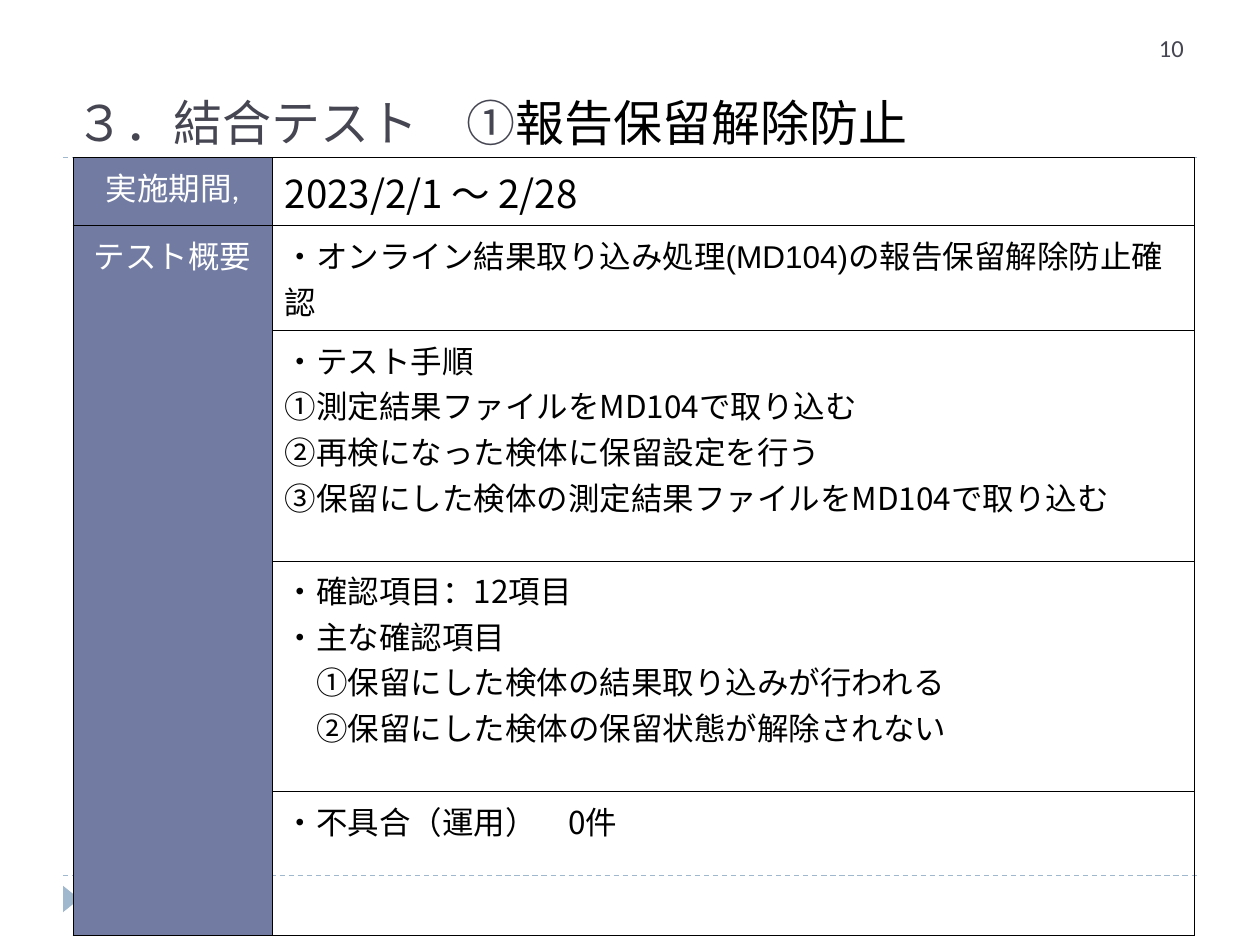
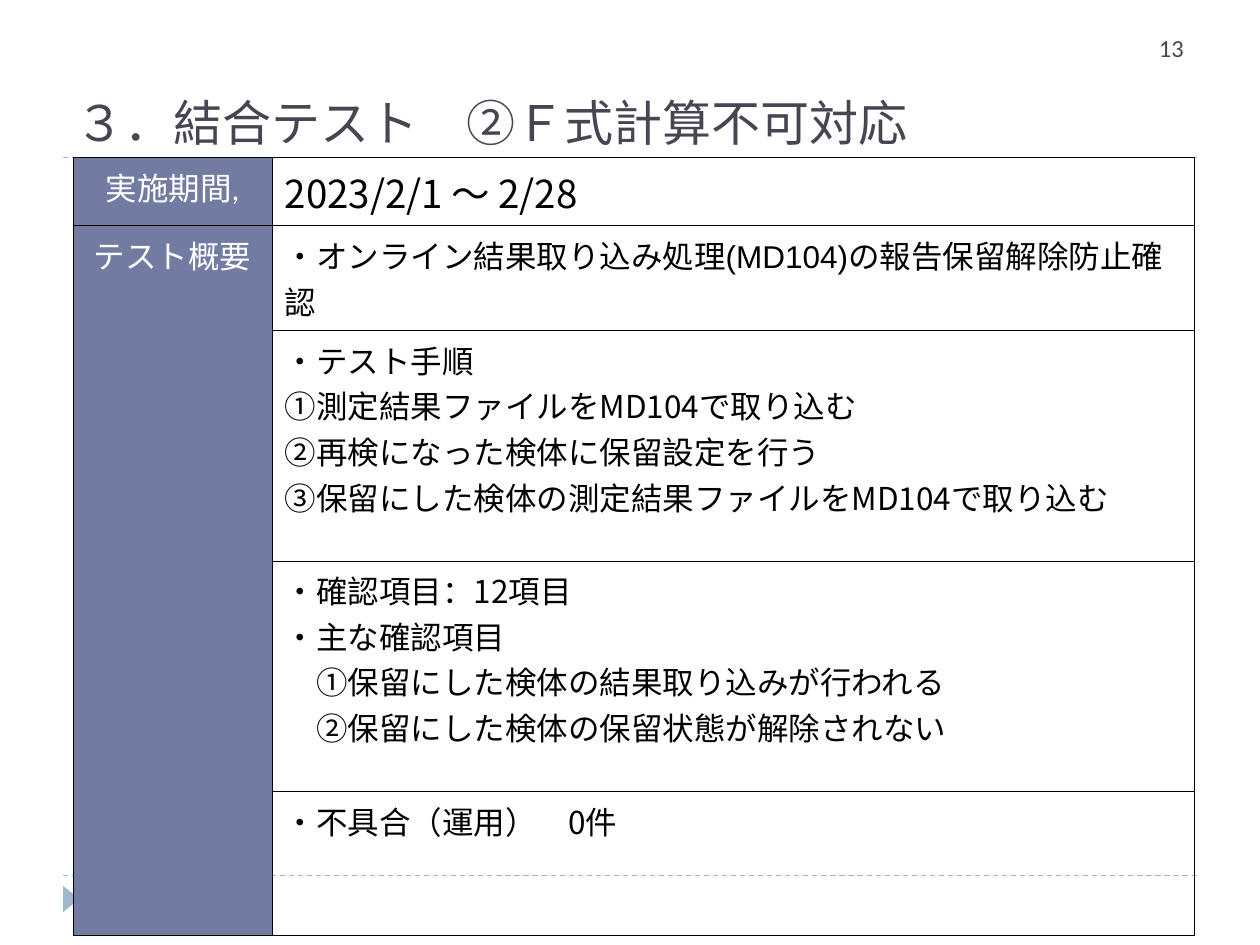
import pptx
import pptx.util
import pptx.dml.color
import pptx.enum.dml
import pptx.enum.shapes
import pptx.enum.text
import pptx.oxml
import pptx.oxml.ns
from lxml import etree

Inches, Pt = pptx.util.Inches, pptx.util.Pt
RGBColor = pptx.dml.color.RGBColor
Align = pptx.enum.text.PP_ALIGN
qn = pptx.oxml.ns.qn

# Content: (page, title start, title end, colour of the end)
INK = RGBColor(0x46, 0x46, 0x53)
BLACK = RGBColor(0, 0, 0)
WHITE = RGBColor(255, 255, 255)
HEAD = RGBColor(0x72, 0x7C, 0xA3)
RULE = RGBColor(0x9F, 0xB8, 0xCD)
CJK, SANS, BODY = "Noto Sans CJK JP", "Arial", "Calibri"

PAGES = [
    ("10", "３．結合テスト　①", "報告保留解除防止", BLACK),
    ("13", "３．結合テスト　②", "Ｆ式計算不可対応", INK),
]
LABELS = ["実施期間,", "テスト概要"]
# Each row: height, text size, paragraphs made of (text, font) runs
ROWS = [
    (0.54, 22, [[("2023/2/1 ～ 2/28", CJK)]]),
    (0.83, 18, [[("・", BODY),
                 ("オンライン結果取り込み処理(MD104)の報告保留解除防止確認", SANS)]]),
    (1.83, 18, [[("・テスト手順", CJK)],
                [("①測定結果ファイルをMD104で取り込む", CJK)],
                [("②再検になった検体に保留設定を行う", CJK)],
                [("③保留にした検体の測定結果ファイルをMD104で取り込む", CJK)]]),
    (1.83, 18, [[("・確認項目：12項目", CJK)],
                [("・主な確認項目　", CJK)],
                [("　①保留にした検体の結果取り込みが行われる", CJK)],
                [("　②保留にした検体の保留状態が解除されない", CJK)]]),
    (1.14, 18, [[("・不具合（運用）　0件", CJK)]]),
]
COLS = [1.58, 7.32]
LEFT, TOP = 0.58, 1.25


def add_run(para, text, font, size, color):
    run = para.add_run()
    run.text = text
    run.font.name = font
    run.font.size = Pt(size)
    run.font.color.rgb = color
    east = etree.SubElement(run.font._element, qn("a:ea"))
    east.set("typeface", CJK)


def add_rule(slide, y):
    line = slide.shapes.add_connector(
        pptx.enum.shapes.MSO_CONNECTOR.STRAIGHT,
        Inches(0.5), Inches(y), Inches(9.5), Inches(y))
    line.line.color.rgb = RULE
    line.line.width = Pt(0.75)
    line.line.dash_style = pptx.enum.dml.MSO_LINE.DASH
    etree.SubElement(line._element.spPr, qn("a:effectLst"))


def add_frame(slide):
    for y in (6.95, TOP):
        add_rule(slide, y)
    mark = slide.shapes.add_shape(
        pptx.enum.shapes.MSO_SHAPE.ISOSCELES_TRIANGLE,
        Inches(0.46), Inches(7.07), Inches(0.21), Inches(0.13))
    mark.rotation = 90
    mark.shadow.inherit = False
    mark.fill.solid()
    mark.fill.fore_color.rgb = RULE
    mark.line.fill.background()


def add_edges(cell):
    props = cell._tc.get_or_add_tcPr()
    for i, side in enumerate(("lnL", "lnR", "lnT", "lnB")):
        edge = etree.Element(qn("a:" + side), w=str(Pt(0.45)))
        fill = etree.SubElement(edge, qn("a:solidFill"))
        etree.SubElement(fill, qn("a:srgbClr"), val=str(BLACK))
        props.insert(i, edge)


def add_grid(slide):
    height = sum(row[0] for row in ROWS)
    table = slide.shapes.add_table(
        len(ROWS), len(COLS), Inches(LEFT), Inches(TOP),
        Inches(sum(COLS)), Inches(height)).table
    table.first_row = table.horz_banding = False
    for col, width in zip(table.columns, COLS):
        col.width = Inches(width)

    # Right column and borders
    for r, (high, size, paras) in enumerate(ROWS):
        table.rows[r].height = Inches(high)
        head, cell = table.cell(r, 0), table.cell(r, 1)
        head.fill.solid()
        head.fill.fore_color.rgb = HEAD
        cell.fill.background()
        for part in (head, cell):
            add_edges(part)
        frame = cell.text_frame
        for p, runs in enumerate(paras):
            para = frame.add_paragraph() if p else frame.paragraphs[0]
            for text, font in runs:
                add_run(para, text, font, size, BLACK)

    # Left column
    table.cell(1, 0).merge(table.cell(len(ROWS) - 1, 0))
    for r, label in enumerate(LABELS):
        para = table.cell(r, 0).text_frame.paragraphs[0]
        para.alignment = Align.CENTER
        add_run(para, label, BODY, 18, WHITE)


def add_title(slide, start, end, color):
    title = slide.shapes.title
    title.left, title.top = Inches(0.5), Inches(0.25)
    title.width, title.height = Inches(9), Inches(1)
    frame = title.text_frame
    frame.auto_size = pptx.enum.text.MSO_AUTO_SIZE.NONE
    frame.vertical_anchor = pptx.enum.text.MSO_ANCHOR.BOTTOM
    para = frame.paragraphs[0]
    para.alignment = Align.LEFT
    add_run(para, start, CJK, 28, INK)
    add_run(para, end, SANS, 28, color)


def add_page(slide, page):
    box = slide.shapes.add_textbox(
        Inches(9.1), Inches(0.21), Inches(1.33), Inches(0.4))
    box.text_frame.word_wrap = True
    add_run(box.text_frame.paragraphs[0], page, BODY, 14, INK)


def main():
    deck = pptx.Presentation()
    deck.slide_width, deck.slide_height = Inches(10), Inches(7.5)
    for page, start, end, color in PAGES:
        slide = deck.slides.add_slide(deck.slide_layouts[5])
        add_frame(slide)
        add_grid(slide)
        add_title(slide, start, end, color)
        add_page(slide, page)
    deck.save("out.pptx")


if __name__ == "__main__":
    main()
